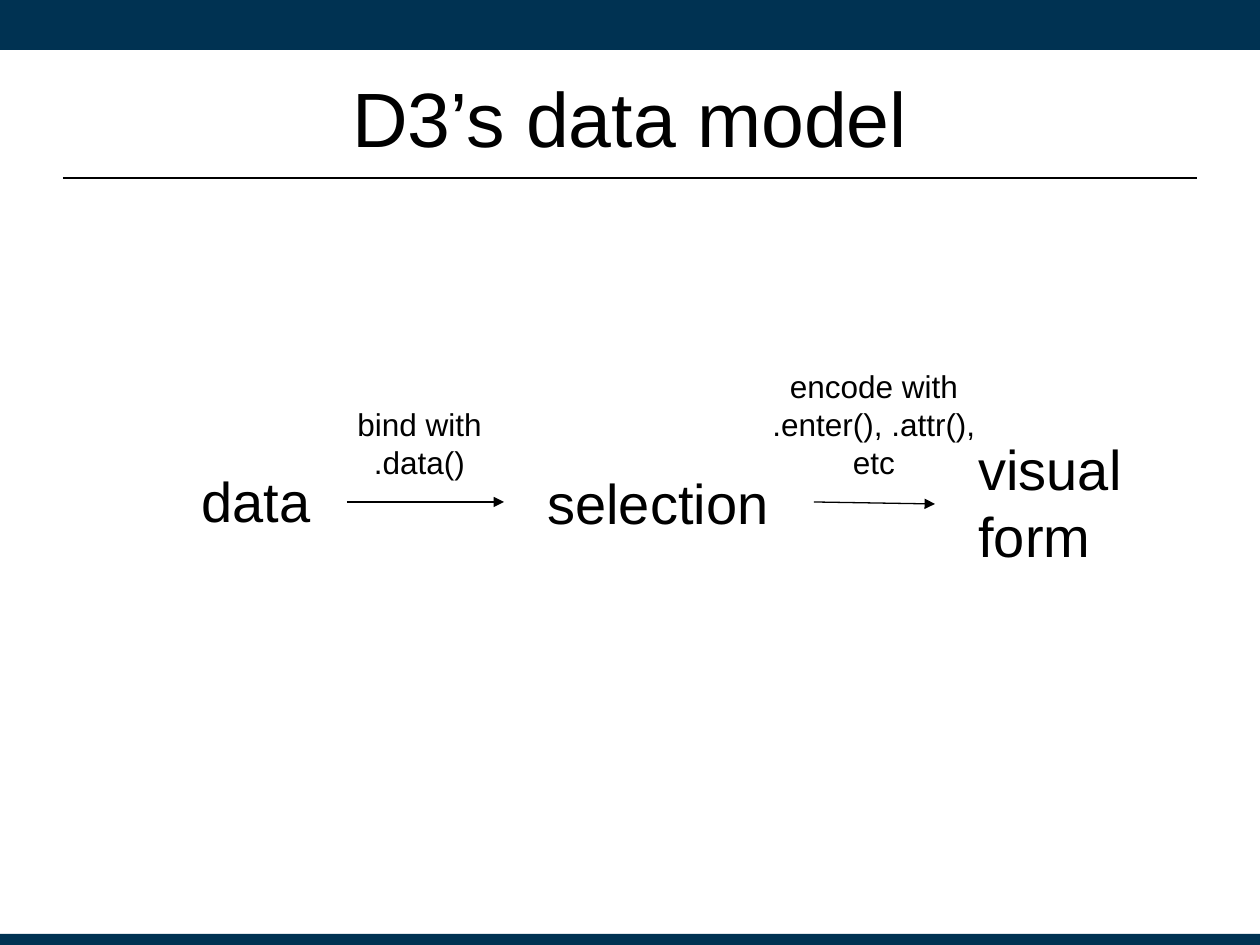
import pptx
import pptx.util
import pptx.dml.color
import pptx.enum.shapes
import pptx.enum.text
import pptx.oxml.ns
import lxml.etree

NAVY = pptx.dml.color.RGBColor(0x00, 0x32, 0x52)
BLACK = pptx.dml.color.RGBColor(0x00, 0x00, 0x00)
SCALE = 914400 // 126
ALIGN = pptx.enum.text.PP_ALIGN
ANCHOR = pptx.enum.text.MSO_ANCHOR


class Page:
    """Draws styled elements on one slide, in pixels."""

    font = "Arial"
    ink = BLACK

    def __init__(self, slide):
        self.slide = slide
        self.shapes = slide.shapes

    def emu(self, *sizes):
        return [pptx.util.Emu(size * SCALE) for size in sizes]

    def bar(self, x, y, wide, high):
        kind = pptx.enum.shapes.MSO_SHAPE.RECTANGLE
        bar = self.shapes.add_shape(kind, *self.emu(x, y, wide, high))
        bar.shadow.inherit = False
        bar.fill.solid()
        bar.fill.fore_color.rgb = NAVY
        bar.line.fill.background()

    def line(self, x1, y1, x2, y2, width=0.75, head=False):
        kind = pptx.enum.shapes.MSO_CONNECTOR.STRAIGHT
        line = self.shapes.add_connector(kind, *self.emu(x1, y1, x2, y2))
        line.line.color.rgb = self.ink
        line.line.width = pptx.util.Pt(width)
        qn = pptx.oxml.ns.qn
        if head:
            tail = lxml.etree.SubElement(line.line._get_or_add_ln(), qn("a:tailEnd"))
            tail.set("type", "triangle")
        lxml.etree.SubElement(line._element.spPr, qn("a:effectLst"))

    def text(self, x, y, wide, high, lines, size, align=ALIGN.LEFT, anchor=ANCHOR.TOP):
        frame = self.shapes.add_textbox(*self.emu(x, y, wide, high)).text_frame
        frame.word_wrap = True
        frame.vertical_anchor = anchor
        frame.text = lines
        for para in frame.paragraphs:
            para.alignment = align
            para.font.name = self.font
            para.font.size = pptx.util.Pt(size)
            para.font.color.rgb = self.ink


deck = pptx.Presentation()
deck.slide_width = pptx.util.Inches(10)
deck.slide_height = pptx.util.Inches(7.5)
page = Page(deck.slides.add_slide(deck.slide_layouts[6]))

page.bar(0, 0, 1260, 50)
page.bar(0, 934, 1260, 11)
page.line(63, 178, 1197, 178, width=1.25)
page.text(63, 38, 1134, 158, "D3’s data model", 44, ALIGN.CENTER, ANCHOR.MIDDLE)

for x, y, wide, high, stage in (
    (189, 460, 273, 81, "data"),
    (535, 462, 273, 81, "selection"),
    (966, 428, 221, 149, "visual form"),
):
    page.text(x, y, wide, high, stage, 32)

for x, y, wide, high, step in (
    (325, 399, 189, 89, "bind with\n.data()"),
    (748, 361, 252, 127, "encode with\n.enter(), .attr(), etc"),
):
    page.text(x, y, wide, high, step, 18, ALIGN.CENTER)

page.line(347, 502, 504, 502, head=True)
page.line(814, 502, 935, 504, head=True)

deck.save("out.pptx")
